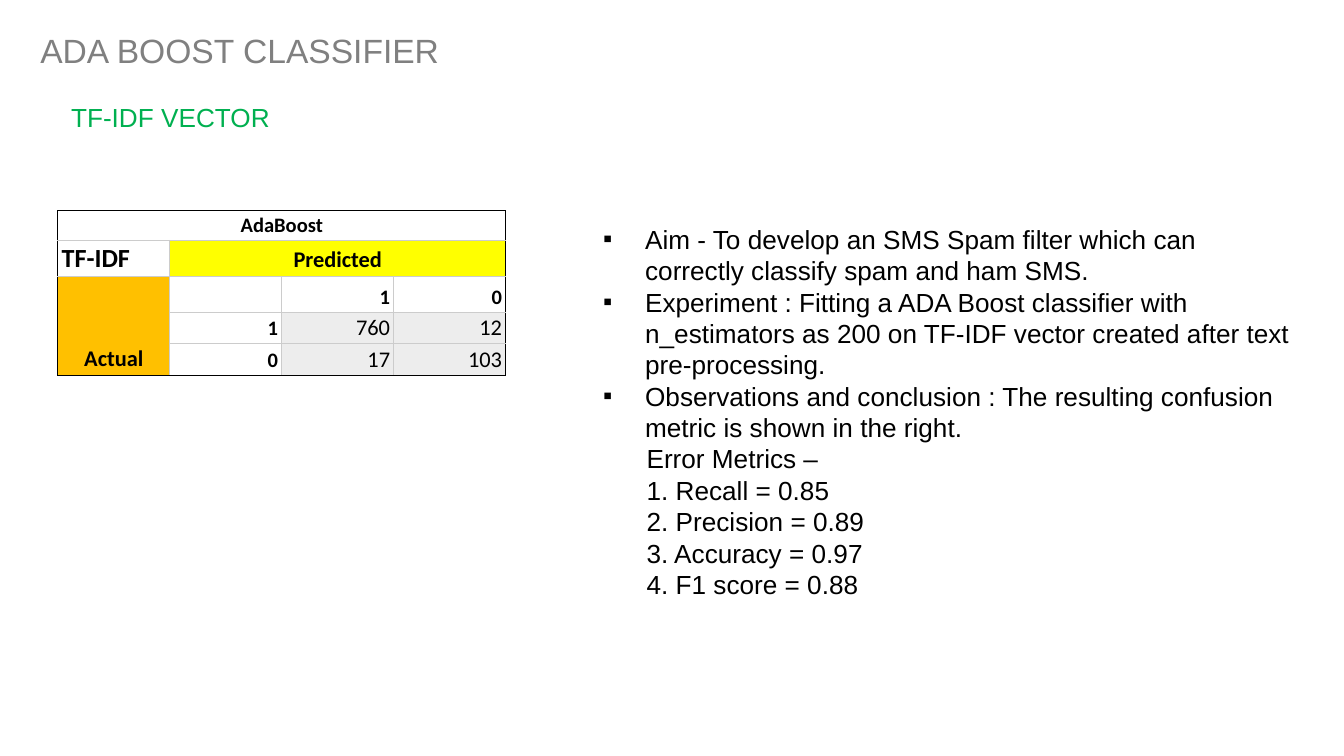
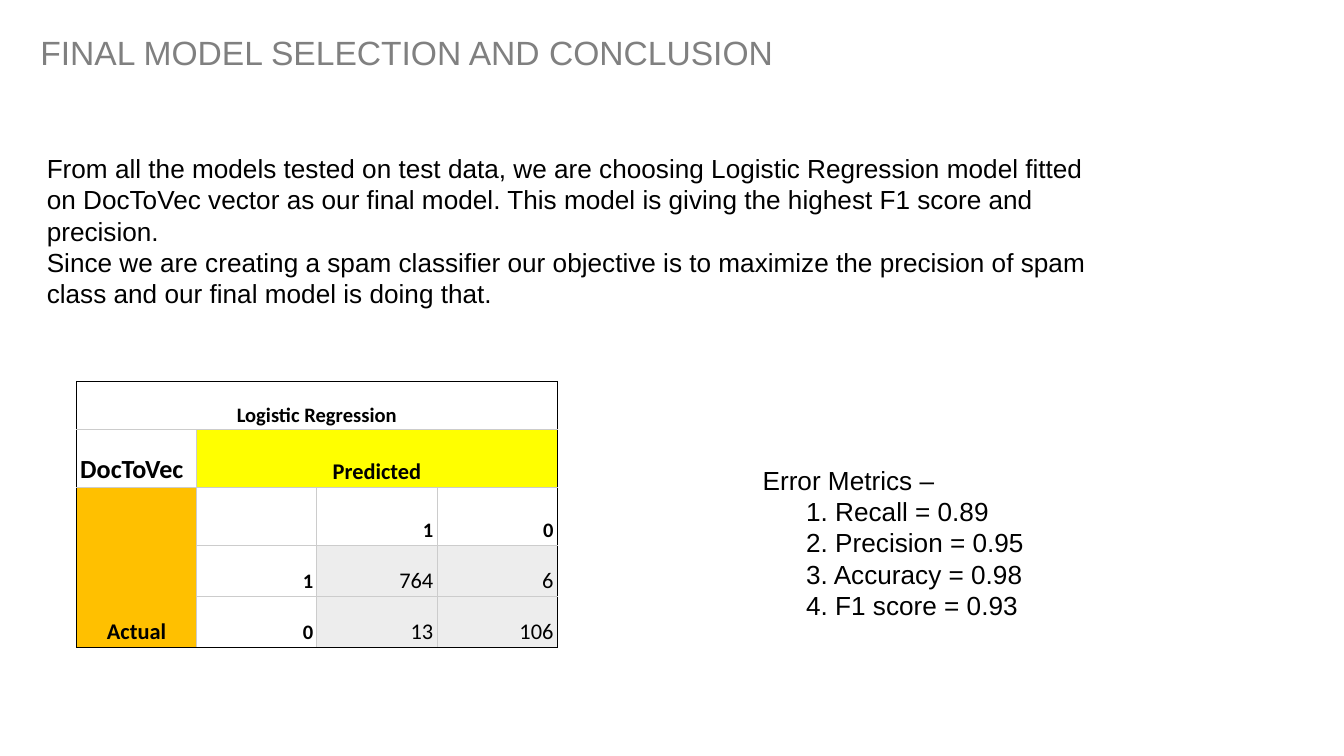
"""Build two slides on the spam classifier results, each with a confusion matrix."""
from lxml.etree import SubElement
from pptx import Presentation
from pptx.dml.color import RGBColor
from pptx.enum.text import MSO_ANCHOR as Anchor, MSO_AUTO_SIZE as AutoSize, PP_ALIGN as Align
from pptx.oxml.ns import qn
from pptx.util import Pt

BLACK, GREY, GREEN = "000000", "808080", "00B050"
GRID, YELLOW, AMBER, PALE = "CCCCCC", "FFFF00", "FFC000", "EDEDED"
BODY_FONT, TABLE_FONT = "Arial", "Calibri"
BODY_SIZE = 14
BULLET_INDENT, METRIC_INDENT = 22.5, 23.3
METRIC_NAMES = ("Recall", "Precision", "Accuracy", "F1 score")


def colour(value):
    return RGBColor.from_string(value)


def set_font(font, name, size, tint, bold=False):
    font.name, font.size, font.bold = name, Pt(size), bold
    font.color.rgb = colour(tint)


def add_title(page, text, top):
    title = page.shapes.title
    title.left, title.top, title.width, title.height = Pt(14.4), Pt(top), Pt(495), Pt(29)
    frame = title.text_frame
    frame.text = text
    frame.auto_size, frame.word_wrap = AutoSize.NONE, True
    frame.vertical_anchor = Anchor.TOP
    para = frame.paragraphs[0]
    para.alignment = Align.LEFT
    set_font(para.font, BODY_FONT, 18, GREY)


def indent(para, left, bullet=None):
    properties = para._p.get_or_add_pPr()
    properties.set("marL", str(Pt(left)))
    if bullet:
        properties.set("indent", str(-Pt(left)))
        SubElement(SubElement(properties, qn("a:buClr")), qn("a:srgbClr"), val=BLACK)
        SubElement(properties, qn("a:buFont"), typeface=BODY_FONT)
        SubElement(properties, qn("a:buChar"), char=bullet)


def add_text(page, place, lines, tint=BLACK, wrap=True):
    """Each line is a tuple of text, left indent and bullet."""
    frame = page.shapes.add_textbox(*map(Pt, place)).text_frame
    frame.word_wrap = wrap
    for number, (text, left, bullet) in enumerate(lines):
        para = frame.add_paragraph() if number else frame.paragraphs[0]
        para.text = text
        if left:
            indent(para, left, bullet)
        set_font(para.font, BODY_FONT, BODY_SIZE, tint)


def metric_lines(values, heading_indent):
    lines = [("Error Metrics –", heading_indent, None)]
    for number, (name, value) in enumerate(zip(METRIC_NAMES, values), 1):
        lines.append((f"{number}. {name} = {value}", METRIC_INDENT, None))
    return lines


def set_borders(cell, row, column, last_row, last_column):
    """Outer edges are black and inner ones grey; merged-away cells get outer edges only."""
    outer = {
        "L": column == 0,
        "R": column + cell.span_width - 1 >= last_column or column == last_column,
        "T": row == 0,
        "B": row + cell.span_height - 1 >= last_row or row == last_row,
    }
    properties = cell._tc.get_or_add_tcPr()
    for side, is_outer in outer.items():
        if is_outer or not cell.is_spanned:
            line = SubElement(properties, qn(f"a:ln{side}"), w=str(Pt(0.6)))
            fill = SubElement(line, qn("a:solidFill"))
            SubElement(fill, qn("a:srgbClr"), val=BLACK if is_outer else GRID)


def cell_style(row, column):
    """Return size, bold, alignment and fill for one place in the matrix."""
    if row == 0:
        return 11, True, Align.CENTER, None
    if row == 1:
        return (12, True, Align.CENTER, YELLOW) if column else (14, True, Align.LEFT, None)
    if column == 0:
        return 12, True, Align.CENTER, AMBER
    if row > 2 and column > 1:
        return 12, False, Align.RIGHT, PALE
    return 11, True, Align.RIGHT, None


def add_matrix(page, left, top, column_width, row_heights, model, vector, counts):
    rows = [
        (model, "", "", ""),
        (vector, "Predicted", "", ""),
        ("Actual", "", "1", "0"),
        ("", "1", *counts[0]),
        ("", "0", *counts[1]),
    ]
    frame = page.shapes.add_table(
        5, 4, Pt(left), Pt(top), Pt(4 * column_width), Pt(sum(row_heights)))
    table = frame.table
    table.first_row = table.horz_banding = False
    for column in table.columns:
        column.width = Pt(column_width)
    for row, height in zip(table.rows, row_heights):
        row.height = Pt(height)
    for start, end in (((0, 0), (0, 3)), ((1, 1), (1, 3)), ((2, 0), (4, 0))):
        table.cell(*start).merge(table.cell(*end))

    for row, texts in enumerate(rows):
        for column, text in enumerate(texts):
            cell = table.cell(row, column)
            size, bold, alignment, fill = cell_style(row, column)
            set_borders(cell, row, column, 4, 3)
            if fill:
                cell.fill.solid()
                cell.fill.fore_color.rgb = colour(fill)
            else:
                cell.fill.background()
            cell.margin_left = cell.margin_right = Pt(2)
            cell.margin_top = cell.margin_bottom = Pt(1.2)
            cell.vertical_anchor = Anchor.BOTTOM
            para = cell.text_frame.paragraphs[0]
            para.alignment = alignment
            set_font(para.font, TABLE_FONT, size, BLACK, bold)
            if text:
                para.text = text
            else:
                SubElement(para._p, qn("a:endParaRPr"), sz=str(size * 100))


def build_ada_boost(page):
    add_title(page, "ADA BOOST CLASSIFIER", 12.2)
    add_text(page, (31, 51, 122, 24), [("TF-IDF VECTOR", 0, None)], GREEN, wrap=False)
    add_matrix(page, 31, 113, 60, (15.8, 19.2, 19.2, 16.9, 16.9),
               "AdaBoost", "TF-IDF", (("760", "12"), ("17", "103")))
    points = (
        "Aim - To develop an SMS Spam filter which can correctly classify spam and ham SMS.",
        "Experiment : Fitting a ADA Boost classifier with n_estimators as 200 on TF-IDF vector "
        "created after text pre-processing.",
        "Observations and conclusion : The resulting confusion metric is shown in the right.",
    )
    lines = [(point, BULLET_INDENT, "▪") for point in points]
    lines += metric_lines(("0.85", "0.89", "0.97", "0.88"), METRIC_INDENT)
    add_text(page, (316, 116, 383, 245), lines)


def build_conclusion(page):
    add_title(page, "FINAL MODEL SELECTION AND CONCLUSION", 13.7)
    add_matrix(page, 41, 204.3, 64.4, (26, 31, 31, 27.3, 27.3),
               "Logistic Regression", "DocToVec", (("764", "6"), ("13", "106")))
    reasons = (
        "From all the models tested on test data, we are choosing Logistic Regression model "
        "fitted on DocToVec vector as our final model. This model is giving the highest F1 "
        "score and precision.",
        "Since we are creating a spam classifier our objective is to maximize the precision "
        "of spam class and our final model is doing that.",
    )
    add_text(page, (18, 78, 585, 92), [(reason, 0, None) for reason in reasons])
    add_text(page, (401.5, 245, 318, 92), metric_lines(("0.89", "0.95", "0.98", "0.93"), 0))


def main():
    deck = Presentation()
    deck.slide_width, deck.slide_height = Pt(720), Pt(405)
    title_only = deck.slide_layouts[5]
    for build in (build_ada_boost, build_conclusion):
        build(deck.slides.add_slide(title_only))
    deck.save("out.pptx")


if __name__ == "__main__":
    main()
